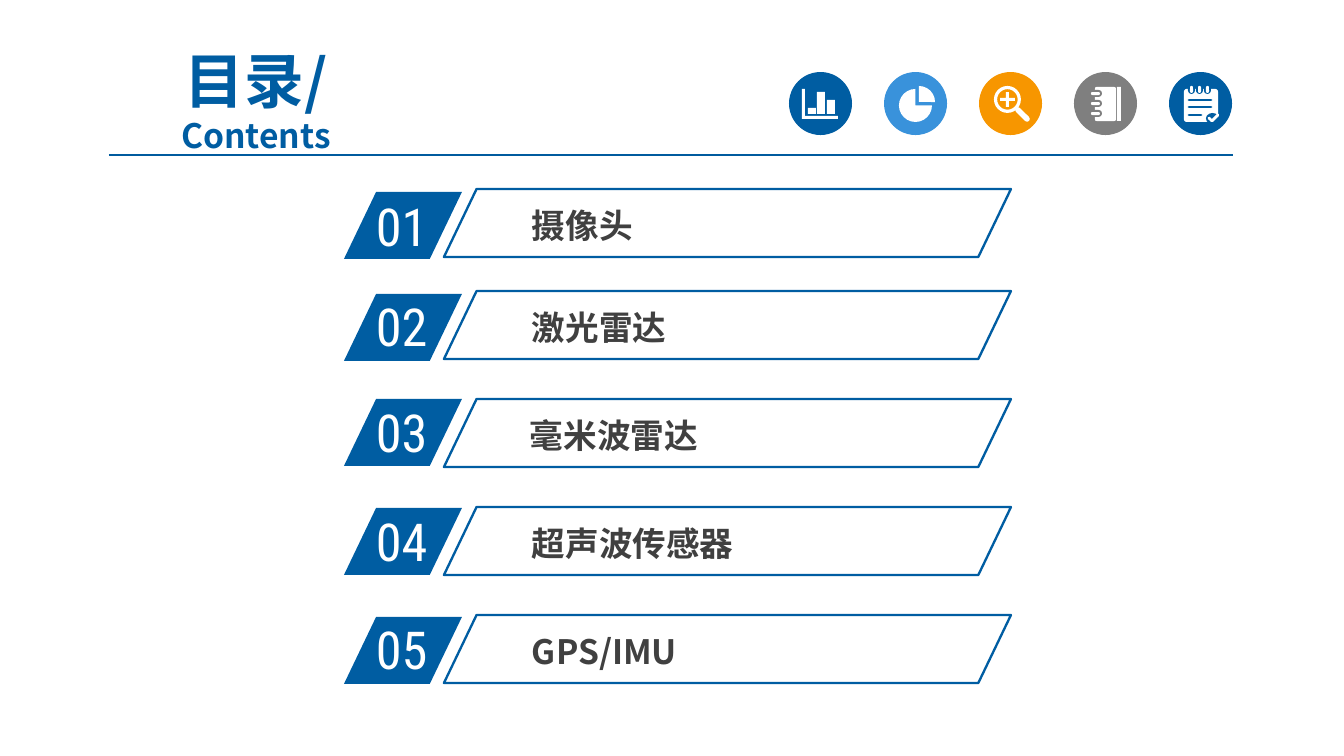
from lxml import etree
from pptx import Presentation
from pptx.dml.color import RGBColor
from pptx.enum.shapes import MSO_CONNECTOR, MSO_SHAPE
from pptx.enum.text import MSO_ANCHOR, PP_ALIGN
from pptx.oxml.ns import qn
from pptx.util import Pt

PX = 914400 / 134.4
BLUE, SKY, ORANGE, GRAY = "005DA2", "3992DB", "F79600", "7F7F7F"
WHITE, INK, RULE = "FFFFFF", "404040", "005B9E"
CJK, CONDENSED = "Noto Sans CJK SC", "Roboto Condensed"
OVAL, PILL, RECT = MSO_SHAPE.OVAL, MSO_SHAPE.ROUNDED_RECTANGLE, MSO_SHAPE.RECTANGLE
PIE, DONUT, CROSS = MSO_SHAPE.PIE, MSO_SHAPE.DONUT, MSO_SHAPE.CROSS
SLANT, STRAIGHT = MSO_SHAPE.PARALLELOGRAM, MSO_CONNECTOR.STRAIGHT
MIDDLE, TOP, CENTER, LEFT = MSO_ANCHOR.MIDDLE, MSO_ANCHOR.TOP, PP_ALIGN.CENTER, PP_ALIGN.LEFT

# label, label left, then tops of plate, number and frame
ROWS = [
    ("摄像头", 523, 192, 187, 189),
    ("激光雷达", 523, 294, 287, 291),
    ("毫米波雷达", 521, 399, 393, 399),
    ("超声波传感器", 523, 508, 502, 507),
    ("GPS/IMU", 523, 617, 610, 615),
]


def px(n):
    return round(n * PX)


def rgb(color):
    return RGBColor.from_string(color)


def paint(s, fill=None, line=None):
    s.shadow.inherit = False
    if fill:
        s.fill.solid()
        s.fill.fore_color.rgb = rgb(fill)
    else:
        s.fill.background()
    if line:
        s.line.color.rgb = rgb(line)
        s.line.width = Pt(1.25)
    else:
        s.line.fill.background()


def add_shape(slide, kind, x, y, w, h, fill=None, line=None, adj=()):
    s = slide.shapes.add_shape(kind, px(x), px(y), px(w), px(h))
    for i, value in enumerate(adj):
        s.adjustments[i] = value
    paint(s, fill, line)


def add_outline(slide, x, y, contours, fill):
    """Add one freeform of closed contours, with points relative to x, y."""
    builder = slide.shapes.build_freeform(*contours[0][0], scale=PX)
    for i, (start, *rest) in enumerate(contours):
        if i:
            builder.move_to(*start)
        builder.add_line_segments(rest, close=True)
    paint(builder.convert_to_shape(px(x), px(y)), fill)


def add_line(slide, x1, y1, x2, y2, color, width, cap="flat"):
    c = slide.shapes.add_connector(STRAIGHT, px(x1), px(y1), px(x2), px(y2))
    c.line.color.rgb = rgb(color)
    c.line.width = Pt(width)
    c.line._get_or_add_ln().set("cap", cap)
    etree.SubElement(c._element.spPr, qn("a:effectLst"))


def set_font(font, size, name, color, bold):
    font.size, font.name, font.bold = Pt(size), name, bold
    font.color.rgb = rgb(color)
    ea = etree.SubElement(font._element, qn("a:ea"))
    ea.set("typeface", name)


def add_text(slide, x, y, w, h, runs, name, color, bold=False,
             align=LEFT, anchor=TOP, inset=(13, 7)):
    """Add one paragraph of (text, size) runs, each on its own line."""
    tf = slide.shapes.add_textbox(px(x), px(y), px(w), px(h)).text_frame
    tf.word_wrap = True
    tf.vertical_anchor = anchor
    tf.margin_left = tf.margin_right = px(inset[0])
    tf.margin_top = tf.margin_bottom = px(inset[1])
    p = tf.paragraphs[0]
    p.alignment = align
    for i, (text, size) in enumerate(runs):
        if i:
            p.add_line_break()
        r = p.add_run()
        r.text = text
        set_font(r.font, size, name, color, bold)
    return p


def add_header(slide):
    p = add_text(slide, 90, 63, 332, 73, [("目录/", 32), ("Contents", 18)],
                 CJK, BLUE, True, CENTER, MIDDLE)
    p.space_before = Pt(6.4)
    add_line(slide, 109, 155, 1233, 155, RULE, 0.75)


def add_row(slide, number, label, label_x, plate_y, number_y, frame_y):
    add_shape(slide, SLANT, 344, plate_y, 118, 67, fill=BLUE, adj=[0.48])
    add_text(slide, 363, number_y, 113, 66, [(number, 28)], CONDENSED, WHITE)
    add_shape(slide, SLANT, 444, frame_y, 567, 68, line=BLUE, adj=[0.48])
    add_text(slide, label_x, frame_y + 11, 415, 51, [(label, 18)], CJK, INK, True,
             inset=(9, 5))


def draw_bars(slide, x, y, color):
    axes = [(13, 17), (16, 17), (16, 44), (49, 44), (49, 47), (13, 47)]
    bars = [[(left, top), (right, top), (right, 42), (left, 42)]
            for left, top, right in [(19, 36, 27), (28, 20, 36), (38, 28, 46)]]
    add_outline(slide, x, y, [axes, *bars], WHITE)


def draw_pie(slide, x, y, color):
    # Adjustments are angles in units of 5/3 of a degree: 162 is 270 degrees
    add_shape(slide, PIE, x + 15, y + 17, 33, 33, WHITE, adj=[0, 162])
    add_shape(slide, PIE, x + 19, y + 14, 32, 32, WHITE, adj=[162, 0])


def draw_magnifier(slide, x, y, color):
    add_shape(slide, DONUT, x + 15, y + 14, 27, 27, WHITE, adj=[0.12])
    add_shape(slide, CROSS, x + 21, y + 20, 15, 15, WHITE, adj=[0.4])
    add_line(slide, x + 39, y + 38, x + 48, y + 47, WHITE, 3, "rnd")


def draw_notebook(slide, x, y, color):
    add_shape(slide, PILL, x + 21, y + 15, 21, 34, WHITE, adj=[0.08])
    add_shape(slide, RECT, x + 43, y + 15, 4, 34, WHITE)
    for dy in (20, 30, 40):
        add_shape(slide, PILL, x + 17, y + dy - 2, 11, 7, color, adj=[0.5])
        add_shape(slide, PILL, x + 17, y + dy, 9, 3, WHITE, adj=[0.5])


def draw_notepad(slide, x, y, color):
    add_shape(slide, PILL, x + 15, y + 17, 34, 33, WHITE, adj=[0.08])
    for dx in (23, 31, 39):
        add_shape(slide, PILL, x + dx - 4, y + 13, 7, 9, color, adj=[0.5])
        add_shape(slide, PILL, x + dx - 2, y + 14, 3, 7, WHITE, adj=[0.5])
    for dy, right in [(28, 42), (35, 42), (43, 32)]:
        add_line(slide, x + 20, y + dy, x + right, y + dy, color, 1.5, "rnd")
    add_shape(slide, OVAL, x + 37, y + 41, 13, 11, color)
    add_line(slide, x + 40, y + 46, x + 43, y + 49, WHITE, 1.5, "rnd")
    add_line(slide, x + 43, y + 49, x + 49, y + 43, WHITE, 1.5, "rnd")


def add_icons(slide):
    icons = [(BLUE, draw_bars), (SKY, draw_pie), (ORANGE, draw_magnifier),
             (GRAY, draw_notebook), (BLUE, draw_notepad)]
    for i, (color, draw) in enumerate(icons):
        x, y = 789 + 95 * i, 72
        add_shape(slide, OVAL, x, y, 63, 63, color)
        draw(slide, x, y, color)


def main():
    prs = Presentation()
    prs.slide_width, prs.slide_height = px(1344), px(756)
    slide = prs.slides.add_slide(prs.slide_layouts[6])
    add_header(slide)
    add_icons(slide)
    for i, row in enumerate(ROWS, 1):
        add_row(slide, f"{i:02}", *row)
    prs.save("out.pptx")


if __name__ == "__main__":
    main()
